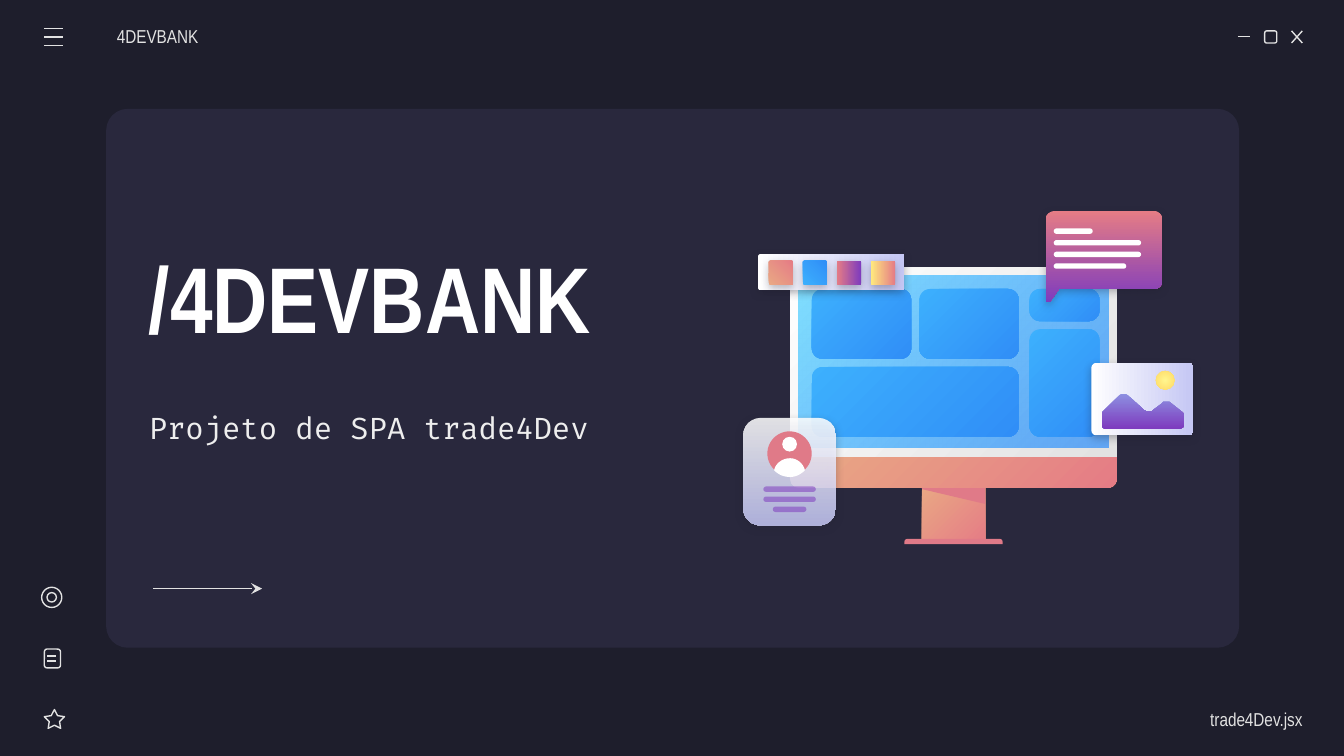
from lxml.etree import SubElement
from pptx import Presentation
from pptx.dml.color import RGBColor
from pptx.enum.shapes import MSO_CONNECTOR as Link, MSO_SHAPE as Shape
from pptx.enum.text import MSO_ANCHOR as Anchor, PP_ALIGN as Align
from pptx.oxml.ns import qn
from pptx.util import Inches, Pt

DARK, PANEL, LIGHT, WHITE = "1E1E2C", "29283D", "E2E2E2", "FFFFFF"
ROSE, PURPLE = "E07A88", "7E3BBE"
PEACH, BLUE, PAPER = ("E9A984", "E57C85"), ("3DB0FD", "308EF7"), (WHITE, "C5C7F4")
BERRY, SUNSET = ("E57C85", PURPLE), ("FFEA7D", "E57C85")


def color(value):
    """Turn a hex string into a colour."""
    return RGBColor.from_string(value)


def paint(s, fill=None, angle=0, alpha=(), line=None, shadow=0):
    """Set fill, outline and soft shadow; the angle runs clockwise."""
    spPr = s._element.spPr
    if fill is None:
        s.fill.background()
    elif isinstance(fill, str):
        s.fill.solid()
        s.fill.fore_color.rgb = color(fill)
    else:
        s.fill.gradient()
        s.fill.gradient_angle = -angle % 360
        for stop, value in zip(s.fill.gradient_stops, fill):
            stop.color.rgb = color(value)
    for node, percent in zip(spPr.iter(qn("a:srgbClr")), alpha):
        SubElement(node, qn("a:alpha"), val=str(percent * 1000))
    if line:
        s.line.color.rgb, s.line.width = color(line), Pt(0.75)
    else:
        s.line.fill.background()
    s.shadow.inherit = False
    if shadow:
        outer = SubElement(spPr.find(qn("a:effectLst")), qn("a:outerShdw"), blurRad=str(Pt(4.5)),
                           dist=str(Pt(1.5)), dir="5400000", algn="bl", rotWithShape="0")
        rgb = SubElement(outer, qn("a:srgbClr"), val=DARK)
        SubElement(rgb, qn("a:alpha"), val=str(shadow * 1000))


def add(shapes, kind, box, at, adj=(), **look):
    """Add a preset shape at an offset from the box corner."""
    x, y, w, h = at
    s = shapes.add_shape(kind, *map(Inches, (box[0] + x, box[1] + y, w, h)))
    for i, value in enumerate(adj):
        s.adjustments[i] = value
    paint(s, **look)
    return s


def outline(shapes, box, start, steps, **look):
    """Add a closed outline from line steps (x, y) and Bezier steps of six numbers."""
    points = [start]
    for step in steps:
        if len(step) == 2:
            points.append(step)
            continue
        p0, p1, p2, p3 = points[-1], step[:2], step[2:4], step[4:]
        for t in (i / 8 for i in range(1, 9)):
            u = 1 - t
            points.append(tuple(u**3 * a + 3 * u * u * t * b + 3 * u * t * t * c + t**3 * d
                                for a, b, c, d in zip(p0, p1, p2, p3)))
    first, *rest = [(Inches(box[0] + x), Inches(box[1] + y)) for x, y in points]
    builder = shapes.build_freeform(*first)
    builder.add_line_segments(rest, close=True)
    paint(builder.convert_to_shape(), **look)


def rule(shapes, box, x1, y1, x2, y2):
    """Add a thin light line between two offsets from the box corner."""
    ends = box[0] + x1, box[1] + y1, box[0] + x2, box[1] + y2
    s = shapes.add_connector(Link.STRAIGHT, *map(Inches, ends))
    s.line.color.rgb, s.line.width = color(LIGHT), Pt(0.75)
    SubElement(s._element.spPr, qn("a:effectLst"))
    return s


def text(shapes, box, words, size, font, ink, bold=None, align=None, left=0.1, right=0.1):
    """Add a one-line text box centred vertically in its box."""
    tf = shapes.add_textbox(*map(Inches, box)).text_frame
    frame = dict(word_wrap=True, vertical_anchor=Anchor.MIDDLE, margin_left=Inches(left),
                 margin_right=Inches(right), margin_top=Inches(0.1), margin_bottom=Inches(0.1))
    for name, value in frame.items():
        setattr(tf, name, value)
    p = tf.paragraphs[0]
    p.alignment = align
    r = p.add_run()
    r.text = words
    for name, value in dict(size=Pt(size), name=font, bold=bold).items():
        setattr(r.font, name, value)
    r.font.color.rgb = color(ink)


def window_buttons(shapes, box):
    """Draw minimise, maximise and close."""
    rule(shapes, box, 0, 0.04, 0.09, 0.04)
    add(shapes, Shape.ROUNDED_RECTANGLE, box, (0.2, 0, 0.09, 0.09), line=LIGHT)
    rule(shapes, box, 0.4, 0, 0.48, 0.09)
    rule(shapes, box, 0.48, 0, 0.4, 0.09)


def menu(shapes, box):
    """Draw the three menu bars."""
    for i in range(3):
        y = 0.13 * i / 2
        rule(shapes, box, 0, y, 0.14, y)


def sidebar(shapes, box):
    """Draw the target, document and star icons."""
    add(shapes, Shape.OVAL, box, (0, 0, 0.15, 0.15), line=LIGHT)
    add(shapes, Shape.OVAL, box, (0.04, 0.04, 0.07, 0.07), line=LIGHT)
    add(shapes, Shape.ROUNDED_RECTANGLE, box, (0.02, 0.46, 0.12, 0.14), line=LIGHT)
    for y in (0.51, 0.55):
        rule(shapes, box, 0.04, y, 0.11, y)
    add(shapes, Shape.STAR_5_POINT, box, (0.02, 0.91, 0.15, 0.14), adj=[0.254], line=LIGHT)


def monitor(shapes, box):
    """Draw the computer with its tiled screen."""
    add(shapes, Shape.RECTANGLE, box, (0.98, 1.62, 0.47, 0.43), fill=PEACH, angle=45)
    add(shapes, Shape.ROUND_2_SAME_RECTANGLE, box, (0.85, 2.02, 0.73, 0.04), adj=[0.5, 0], fill=ROSE)
    outline(shapes, box, (0.98, 1.62), [(0.98, 1.65), (1.45, 1.76), (1.45, 1.62)], fill=ROSE)
    add(shapes, Shape.ROUND_2_SAME_RECTANGLE, box, (0, 1.4, 2.43, 0.24), adj=[0, 0.27],
        fill=PEACH, angle=45)
    add(shapes, Shape.ROUND_2_SAME_RECTANGLE, box, (0, 0, 2.43, 1.41), adj=[0.045, 0],
        fill=(WHITE, LIGHT), angle=45)
    add(shapes, Shape.RECTANGLE, box, (0.06, 0.06, 2.31, 1.28), fill=("80DFFF", "318FFA"),
        angle=45, alpha=(100, 72))
    tiles = [(0.16, 0.16, 0.74, 0.52), (0.16, 0.74, 1.54, 0.52), (0.96, 0.16, 0.74, 0.52),
             (1.78, 0.16, 0.52, 0.24), (1.78, 0.46, 0.52, 0.8)]
    for at in tiles:
        add(shapes, Shape.ROUNDED_RECTANGLE, box, at, adj=[0.08 / min(at[2:])],
            fill=BLUE, angle=45)


def speech_bubble(shapes, box):
    """Draw the message bubble with four lines."""
    steps = [(0.03, 0, 0, 0.03, 0, 0.07), (0, 0.67), (0, 0.68, 0.01, 0.68, 0.02, 0.68),
             (0.02, 0.68, 0.03, 0.68, 0.03, 0.68), (0.1, 0.58), (0.81, 0.58),
             (0.84, 0.58, 0.87, 0.55, 0.87, 0.52), (0.87, 0.07), (0.87, 0.03, 0.84, 0, 0.81, 0)]
    outline(shapes, box, (0.07, 0), steps, fill=BERRY, angle=90, shadow=30)
    for i, w in enumerate((0.29, 0.65, 0.65, 0.54)):
        add(shapes, Shape.ROUNDED_RECTANGLE, box, (0.06, 0.13 + 0.26 * i / 3, w, 0.04), adj=[0.5],
            fill=WHITE)


def profile_card(shapes, box):
    """Draw the translucent user card."""
    add(shapes, Shape.ROUNDED_RECTANGLE, box, (0, 0, 0.69, 0.8), adj=[0.187], fill=PAPER,
        angle=90, alpha=(86, 86), shadow=29)
    add(shapes, Shape.OVAL, box, (0.18, 0.1, 0.33, 0.33), fill=ROSE)
    add(shapes, Shape.OVAL, box, (0.29, 0.14, 0.11, 0.11), fill=WHITE)
    steps = [(0.29, 0.3, 0.24, 0.34, 0.23, 0.39), (0.26, 0.42, 0.3, 0.44, 0.35, 0.44),
             (0.39, 0.44, 0.43, 0.42, 0.46, 0.39), (0.45, 0.34, 0.4, 0.3, 0.35, 0.3)]
    outline(shapes, box, (0.35, 0.3), steps, fill=WHITE)
    for i, w in enumerate((0.39, 0.39, 0.25)):
        add(shapes, Shape.ROUNDED_RECTANGLE, box, (0.69 / 2 - w / 2, 0.51 + 0.15 * i / 2, w, 0.04),
            adj=[0.5], fill=PURPLE, alpha=[54])


def photo_card(shapes, box):
    """Draw the landscape card with mountains and sun."""
    add(shapes, Shape.ROUNDED_RECTANGLE, box, (0, 0, 0.76, 0.54), adj=[0.07], fill=PAPER,
        shadow=30)
    steps = [(0.23, 0.23, 0.22, 0.23, 0.21, 0.24), (0.09, 0.36), (0.08, 0.37, 0.08, 0.37, 0.08, 0.38),
             (0.08, 0.46), (0.08, 0.48, 0.09, 0.49, 0.11, 0.49), (0.65, 0.49),
             (0.67, 0.49, 0.69, 0.48, 0.69, 0.46), (0.69, 0.39),
             (0.69, 0.38, 0.68, 0.37, 0.68, 0.37), (0.58, 0.29), (0.57, 0.29, 0.56, 0.29, 0.55, 0.29),
             (0.54, 0.29, 0.53, 0.29, 0.53, 0.3), (0.45, 0.36), (0.44, 0.36, 0.43, 0.36, 0.42, 0.36),
             (0.41, 0.36, 0.4, 0.36, 0.39, 0.35), (0.27, 0.24), (0.26, 0.23, 0.25, 0.23, 0.24, 0.23)]
    outline(shapes, box, (0.24, 0.23), steps, fill=("8D90E1", PURPLE), angle=90)
    sun = add(shapes, Shape.OVAL, box, (0.48, 0.06, 0.14, 0.14), fill=("FFF68E", "FFD966"))
    grad = sun._element.spPr.find(qn("a:gradFill"))
    grad.remove(grad.find(qn("a:lin")))
    radial = SubElement(grad, qn("a:path"), {"path": "circle"})
    SubElement(radial, qn("a:fillToRect"), {side: "50000" for side in "ltrb"})


def palette(shapes, box):
    """Draw the strip with four swatches."""
    add(shapes, Shape.ROUNDED_RECTANGLE, box, (0, 0, 1.09, 0.27), adj=[0.07], fill=PAPER, shadow=30)
    for i, (fill, angle) in enumerate([(PEACH, 315), (BLUE, 315), (BERRY, 0), (SUNSET, 0)]):
        add(shapes, Shape.ROUNDED_RECTANGLE, box, (0.08 + 0.76 * i / 3, 0.05, 0.18, 0.18), adj=[0.07],
            fill=fill, angle=angle, shadow=30)


def cover(shapes, box):
    """Place the panel, texts, illustration and icons of the cover."""
    x, y, w, h = box
    add(shapes, Shape.ROUNDED_RECTANGLE, box, (0.79, 0.81, 8.43, 4.01), adj=[0.04], fill=PANEL)
    text(shapes, (x + 1.01, y + 2.95, 3.84, 0.46), "Projeto de SPA trade4Dev", 16, "Fira Code", "EEEEEE")
    text(shapes, (x + 0.87, y + 0.12, 1.17, 0.3), "4DEVBANK", 10, "Arial Narrow", LIGHT, left=0)
    text(shapes, (x + 1.01, y + 1.52, 4.47, 1.37), "/4DEVBANK", 50, "Arial Narrow", WHITE, bold=True)
    text(shapes, (x + w - 1.48, y + h - 0.42, 1.17, 0.3), "trade4Dev.jsx", 10, "Arial Narrow",
         LIGHT, align=Align.RIGHT, right=0)
    parts = [(window_buttons, 9.21, 0.23), (monitor, 5.88, 1.99), (speech_bubble, 7.78, 1.57),
             (menu, 0.33, 0.21), (profile_card, 5.53, 3.11), (photo_card, 8.12, 2.7),
             (palette, 5.64, 1.89), (sidebar, 0.31, 4.37)]
    for draw, dx, dy in parts:
        draw(shapes.add_group_shape().shapes, (x + dx, y + dy))
    arrow = rule(shapes, box, 1.14, 4.38, 1.95, 4.38)
    SubElement(arrow.line._get_or_add_ln(), qn("a:tailEnd"), type="stealth", w="med", len="med")


def main():
    """Build the deck and save it."""
    prs = Presentation()
    prs.slide_width, prs.slide_height = Inches(10), Inches(10 * 9 / 16)
    slide = prs.slides.add_slide(prs.slide_layouts[6])
    slide.background.fill.solid()
    slide.background.fill.fore_color.rgb = color(DARK)
    cover(slide.shapes, (0, 0, 10, 5.62))
    prs.save("out.pptx")


if __name__ == "__main__":
    main()
